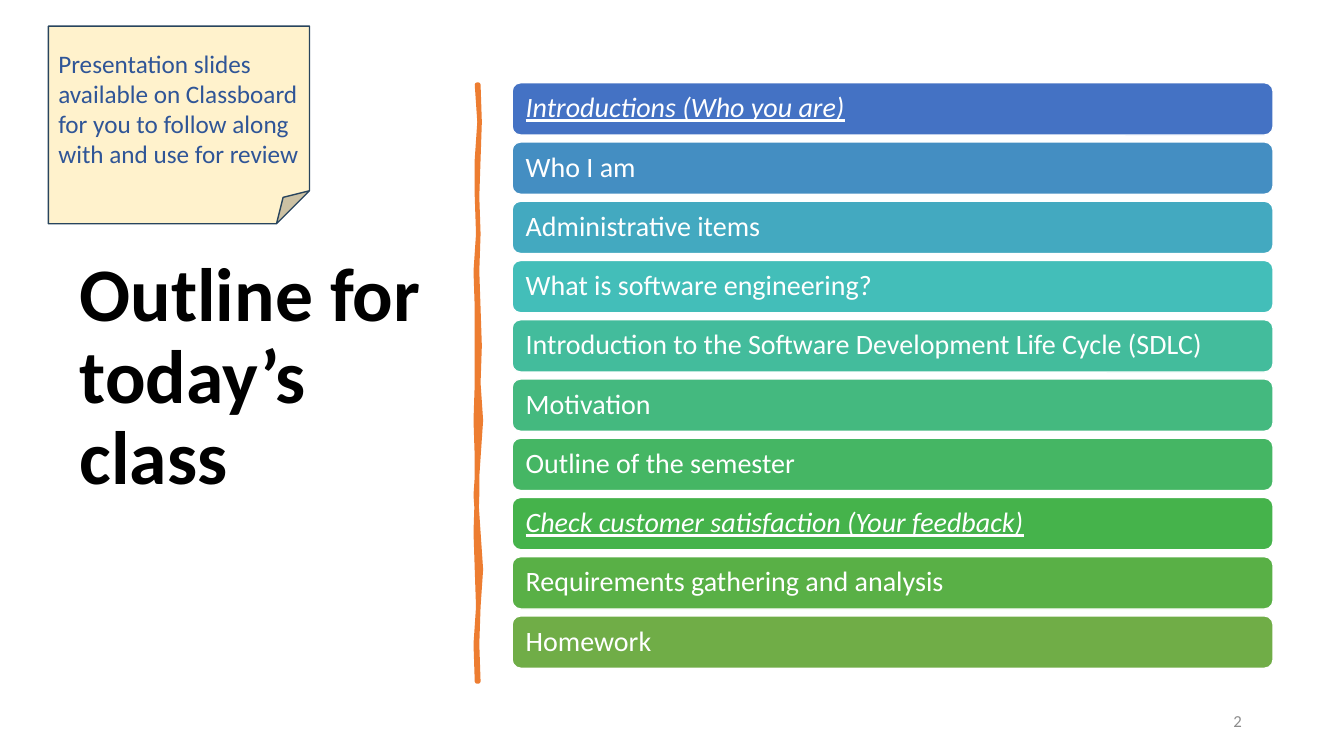
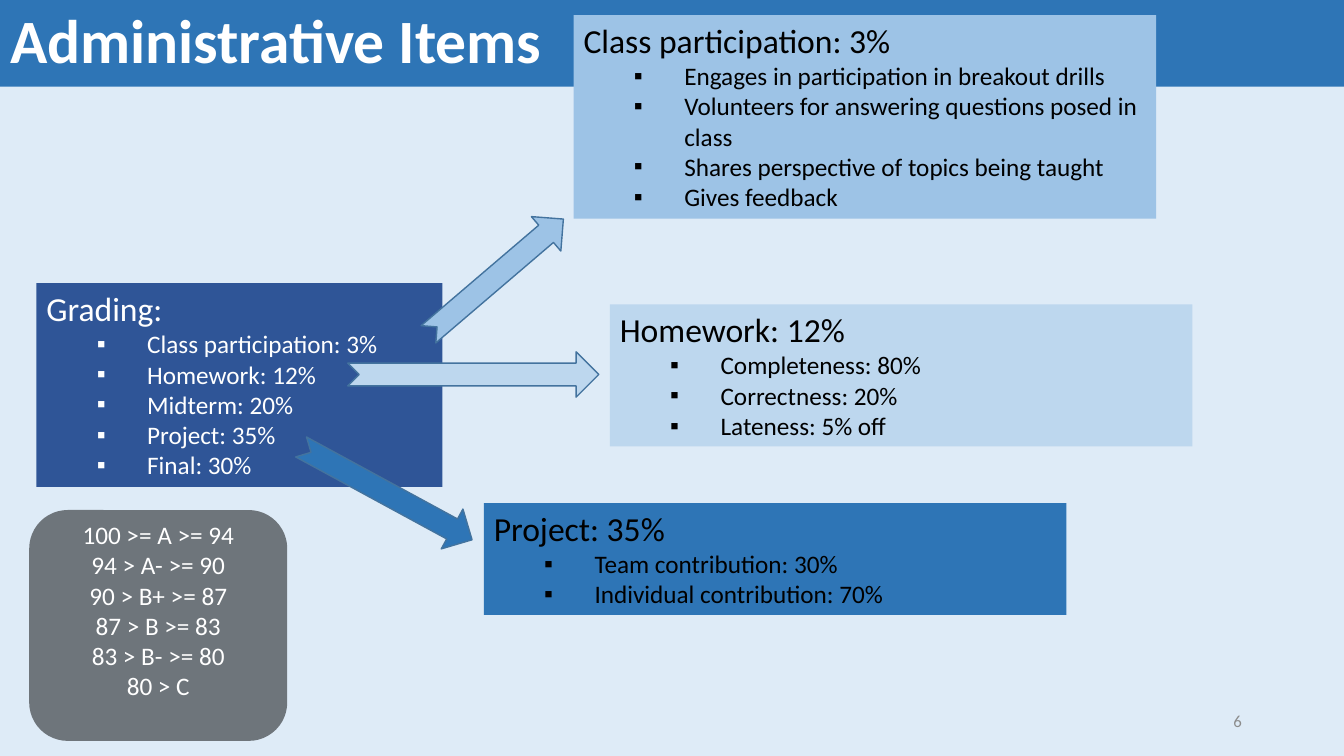
from lxml import etree
from pptx import Presentation
from pptx.dml.color import RGBColor
from pptx.enum.shapes import MSO_SHAPE
from pptx.enum.text import MSO_ANCHOR, MSO_AUTO_SIZE, PP_ALIGN
from pptx.oxml.ns import qn
from pptx.util import Inches, Pt

RECT, ROUND_RECT = MSO_SHAPE.RECTANGLE, MSO_SHAPE.ROUNDED_RECTANGLE
NOTE, ARROW = MSO_SHAPE.FOLDED_CORNER, MSO_SHAPE.NOTCHED_RIGHT_ARROW
TOP, MIDDLE = MSO_ANCHOR.TOP, MSO_ANCHOR.MIDDLE
LEFT, CENTER, RIGHT = PP_ALIGN.LEFT, PP_ALIGN.CENTER, PP_ALIGN.RIGHT
NO_FIT = MSO_AUTO_SIZE.NONE

# Shared look
FONT = "Calibri"
SLIDE_W, SLIDE_H = 13.333, 7.5
WHITE, BLACK, GREY = "FFFFFF", "000000", "8C8C8C"
ORANGE, CREAM, INK = "ED7D31", "FFF2CC", "28445D"
NAVY, BLUE, SKY, PALE, MIST = "2F5597", "2E75B6", "9DC3E6", "BDD7EE", "DEEBF7"
ARROW_LINE = "43739E"
NUMBER_BOX = (9.42, 6.95, 3, 0.4)


def rgb(color):
    return RGBColor.from_string(color)


def paint(sp, fill, line=None, width=1):
    sp.fill.solid()
    sp.fill.fore_color.rgb = rgb(fill)
    if line:
        sp.line.color.rgb = rgb(line)
        sp.line.width = Pt(width)
    else:
        sp.line.fill.background()


def place(sp, box):
    sp.left, sp.top, sp.width, sp.height = (Inches(v) for v in box)


def add_box(slide, kind, box, fill, line=None):
    sp = slide.shapes.add_shape(kind, *(Inches(v) for v in box))
    sp.shadow.inherit = False
    paint(sp, fill, line)
    return sp


def frame(sp, anchor=MIDDLE):
    tf = sp.text_frame
    tf.word_wrap = True
    tf.auto_size = NO_FIT
    tf.vertical_anchor = anchor
    return tf


def write(p, text, size, color, align=LEFT, spacing=1.0, bold=False, accent=False):
    p.alignment = align
    p.line_spacing = spacing
    p.space_before = p.space_after = Pt(0)
    r = p.add_run()
    r.text = text
    r.font.name, r.font.size = FONT, Pt(size)
    r.font.color.rgb = rgb(color)
    r.font.bold = bold
    if accent:
        r.font.italic = r.font.underline = True


def set_bullet(p, char=None):
    """Hanging square bullet, or a flush line without one."""
    pPr = p._p.get_or_add_pPr()
    pPr.set("marL", str(Inches(1) if char else 0))
    pPr.set("indent", str(Inches(-0.5) if char else 0))
    if char:
        etree.SubElement(pPr, qn("a:buFont"), typeface="Arial")
        etree.SubElement(pPr, qn("a:buChar"), char=char)
    else:
        etree.SubElement(pPr, qn("a:buNone"))


def add_title(slide, text, box, size, color):
    title = slide.shapes.title
    place(title, box)
    write(frame(title).paragraphs[0], text, size, color, spacing=0.9, bold=True)
    return title


def add_number(slide, number):
    sp = slide.shapes.add_textbox(*(Inches(v) for v in NUMBER_BOX))
    write(frame(sp).paragraphs[0], number, 12, GREY, RIGHT)


def new_slide(prs, layout, background):
    slide = prs.slides.add_slide(prs.slide_layouts[layout])
    slide.background.fill.solid()
    slide.background.fill.fore_color.rgb = rgb(background)
    return slide


# Outline slide
AGENDA = [
    ("Introductions (Who you are)", "4472C4", True),
    ("Who I am", "448EC2", False),
    ("Administrative items", "43A9C0", False),
    ("What is software engineering?", "43BEB9", False),
    ("Introduction to the Software Development Life Cycle (SDLC)", "43BC9C", False),
    ("Motivation", "44B97F", False),
    ("Outline of the semester", "45B664", False),
    ("Check customer satisfaction (Your feedback)", "45B34B", True),
    ("Requirements gathering and analysis", "59B046", False),
    ("Homework", "70AD47", False),
]
# Sideways wobble of the brush stroke, at equal steps down each edge
RIGHT_EDGE = [2, 3, 2, 1, 2, 1, 2, 3, 2, 4, 2, 0, 2, 4, 2, 1, 2]
LEFT_EDGE = [1, 3, 1, 1, 2, 0, 1, 1, 1, 0, 1, 1, 0, 1, 2, 0, 1]


def add_agenda(slide, box):
    x, y, w, h = box
    bar_h = 0.52
    step = (h - bar_h) / (len(AGENDA) - 1)
    for i, (text, color, accent) in enumerate(AGENDA):
        sp = add_box(slide, ROUND_RECT, (x, y + i * step, w, bar_h), color, WHITE)
        tf = frame(sp)
        tf.margin_left = tf.margin_right = Inches(0.11)
        write(tf.paragraphs[0], text, 20, WHITE, spacing=0.9, accent=accent)


def add_brush_stroke(slide, box):
    x, y, w, h = box
    step = h / (len(RIGHT_EDGE) - 1)
    right = [(x + d * w / 4, y + i * step) for i, d in enumerate(RIGHT_EDGE)]
    left = [(x + d * w / 4, y + i * step) for i, d in enumerate(LEFT_EDGE)]
    points = [(Inches(a), Inches(b)) for a, b in right + left[::-1]]
    builder = slide.shapes.build_freeform(*points[0])
    builder.add_line_segments(points[1:], close=True)
    sp = builder.convert_to_shape()
    sp.shadow.inherit = False
    paint(sp, ORANGE, ORANGE, 3.25)


def outline_slide(prs):
    slide = new_slide(prs, 5, WHITE)
    add_title(slide, "Outline for today’s class", (0.69, 0.7, 3.74, 6.11), 54, BLACK)
    add_brush_stroke(slide, (4.72, 0.84, 0.05, 5.92))
    add_number(slide, "2")
    add_agenda(slide, (5.08, 0.82, 7.55, 5.81))
    note = add_box(slide, NOTE, (0.48, 0.26, 2.59, 1.96), CREAM, INK)
    write(frame(note).paragraphs[0],
          "Presentation slides available on Classboard for you to "
          "follow along with and use for review", 18, NAVY)


# Grading slide
GRADING = ["Class participation: 3%", "Homework: 12%", "Midterm: 20%",
           "Project: 35%", "Final: 30%"]
PANELS = [
    ("Homework: 12%", (6.05, 3.02, 5.78, 1.41), PALE,
     ["Completeness: 80%", "Correctness: 20%", "Lateness: 5% off"]),
    ("Class participation: 3%", (5.69, 0.15, 5.78, 2.02), SKY,
     ["Engages in participation in breakout drills",
      "Volunteers for answering questions posed in class",
      "Shares perspective of topics being taught", "Gives feedback"]),
    ("Project: 35%", (4.8, 4.99, 5.78, 1.11), BLUE,
     ["Team contribution: 30%", "Individual contribution: 70%"]),
]
ARROWS = [  # box, rotation, fill
    ((3.45, 3.49, 2.49, 0.45), 0, PALE),
    ((4.04, 2.52, 1.76, 0.45), 319.5, SKY),
    ((2.87, 4.67, 1.93, 0.45), 28.5, BLUE),
]
SCALE = ["100 >= A >= 94", "94 > A- >= 90", "90 > B+ >= 87",
         "87 > B >= 83", "83 > B- >= 80", "80 > C"]


def fill_list(sp, heading, items, color):
    tf = frame(sp, TOP)
    p = tf.paragraphs[0]
    set_bullet(p)
    write(p, heading, 24, color)
    for item in items:
        p = tf.add_paragraph()
        p.level = 1
        set_bullet(p, "▪")
        write(p, item, 18, color)


def add_scale(slide, box):
    sp = add_box(slide, ROUND_RECT, box, BLACK)
    color = sp.fill._xPr.find(qn("a:solidFill"))[0]
    etree.SubElement(color, qn("a:alpha"), val="50000")
    tf = frame(sp)
    tf.margin_bottom = Inches(0.35)
    for i, line in enumerate(SCALE):
        p = tf.add_paragraph() if i else tf.paragraphs[0]
        write(p, line, 18, WHITE, CENTER)


def grading_slide(prs):
    slide = new_slide(prs, 1, MIST)
    band = add_title(slide, "Administrative Items", (0, 0, SLIDE_W, 0.86), 44, WHITE)
    paint(band, BLUE)
    body = slide.placeholders[1]
    place(body, (0.36, 2.81, 4.03, 2.02))
    paint(body, NAVY)
    fill_list(body, "Grading:", GRADING, WHITE)
    add_number(slide, "6")
    for heading, box, fill, items in PANELS:
        fill_list(add_box(slide, RECT, box, fill), heading, items, BLACK)
    for box, rotation, fill in ARROWS:
        add_box(slide, ARROW, box, fill, ARROW_LINE).rotation = rotation
    add_scale(slide, (0.29, 5.06, 2.56, 2.29))


def main():
    prs = Presentation()
    prs.slide_width, prs.slide_height = Inches(SLIDE_W), Inches(SLIDE_H)
    outline_slide(prs)
    grading_slide(prs)
    prs.save("out.pptx")


if __name__ == "__main__":
    main()
